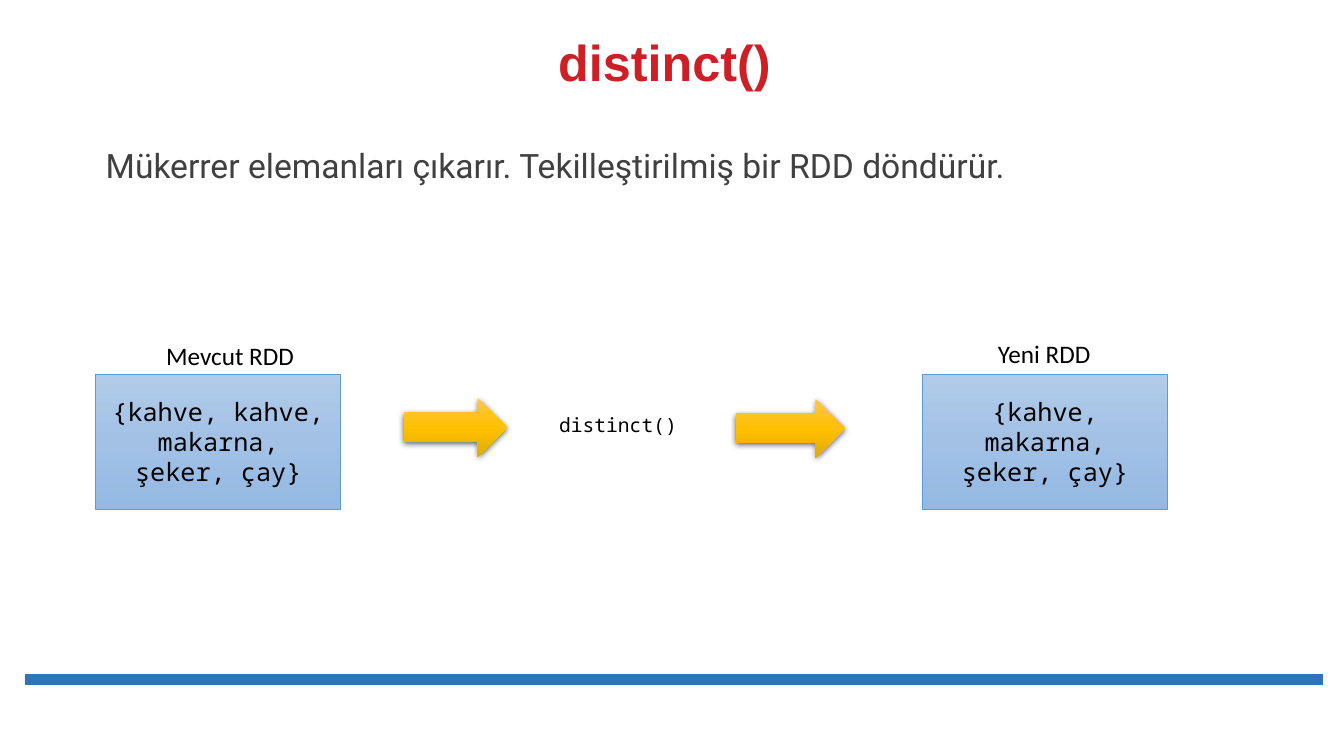
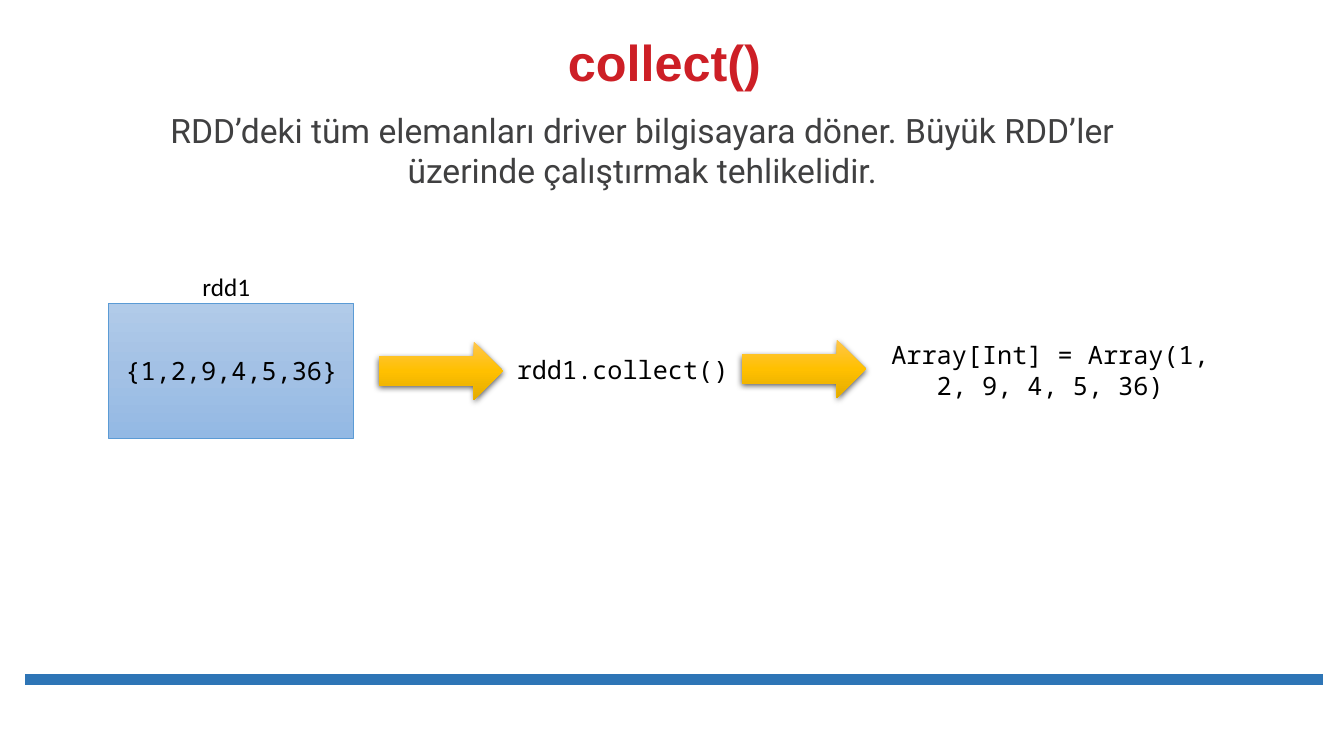
from copy import deepcopy

from lxml import etree
from pptx import Presentation
from pptx.dml.color import RGBColor
from pptx.enum.shapes import MSO_CONNECTOR, MSO_SHAPE
from pptx.enum.text import MSO_ANCHOR, PP_ALIGN
from pptx.oxml.ns import qn
from pptx.util import Inches, Pt

LEFT, CENTER = PP_ALIGN.LEFT, PP_ALIGN.CENTER
TOP, MIDDLE, BOTTOM = MSO_ANCHOR.TOP, MSO_ANCHOR.MIDDLE, MSO_ANCHOR.BOTTOM
RECTANGLE, RIGHT_ARROW = MSO_SHAPE.RECTANGLE, MSO_SHAPE.RIGHT_ARROW
STRAIGHT = MSO_CONNECTOR.STRAIGHT

RED = RGBColor(0xCD, 0x1F, 0x26)
GRAY = RGBColor(0x40, 0x40, 0x41)
BLACK = RGBColor(0, 0, 0)
RULE_BLUE = RGBColor(0x2E, 0x75, 0xB6)
OUTLINE_BLUE = RGBColor(0x5B, 0x9B, 0xD5)
BLUES = [RGBColor(0xB1, 0xCB, 0xE9), RGBColor(0xA3, 0xC1, 0xE5), RGBColor(0x93, 0xB9, 0xE4)]
GOLDS = [RGBColor(0xFF, 0xC6, 0x4B), RGBColor(0xFF, 0xC0, 0x00), RGBColor(0xE3, 0xAB, 0x00)]

TITLE_FONT = {"name": "Arial", "size": Pt(36), "bold": True}
SUMMARY_FONT = {"name": "Roboto", "size": Pt(24)}
LABEL_FONT = {"name": "Calibri", "size": Pt(18)}
CODE_FONT = {"name": "Noto Sans Mono", "size": Pt(18)}
SMALL_CODE_FONT = {"name": "Noto Sans Mono", "size": Pt(14)}

TITLE_AREA = (1.59, 0.23, 10, 0.74)
BOX_SIZE = (2.43, 1.34)
ARROW_HEIGHT = 0.58
LABEL_HEIGHT = 0.4
RULE_LEFT, RULE_RIGHT, RULE_Y = 0.25, 13.12, 6.74

# Boxes: text, left, top. Labels: text, left, top, width.
# Arrows: left, top, width. Code: text, area, font.
SLIDES = [
    {
        "title": "distinct()",
        "summary": ("Mükerrer elemanları çıkarır. Tekilleştirilmiş bir RDD döndürür.",
                    (0.95, 1.19, 10.84, 0.71), LEFT, 1.5),
        "boxes": [("{kahve, kahve, makarna, şeker, çay}", 0.95, 3.71),
                  ("{kahve, makarna, şeker, çay}", 9.15, 3.71)],
        "labels": [("Mevcut RDD", 1.55, 3.33, 1.48), ("Yeni RDD", 9.8, 3.31, 1.13)],
        "arrows": [(4.01, 3.95, 1.02), (7.3, 3.96, 1.08)],
        "code": [("distinct()", (4.59, 4.05, 3.08, 0.34), SMALL_CODE_FONT)],
    },
    {
        "title": "collect()",
        "summary": ("RDD’deki tüm elemanları driver bilgisayara döner. "
                    "Büyük RDD’ler üzerinde çalıştırmak tehlikelidir.",
                    (0.95, 1.04, 10.84, 0.91), CENTER, 1),
        "boxes": [("{1,2,9,4,5,36}", 1.08, 3.01)],
        "labels": [("rdd1", 1.91, 2.64, 0.68)],
        "arrows": [(3.76, 3.39, 1.23), (7.36, 3.37, 1.23)],
        "code": [("rdd1.collect()", (4.83, 3.47, 2.69, 0.4), CODE_FONT),
                 ("Array[Int] = Array(1, 2, 9, 4, 5, 36)", (8.7, 3.32, 3.43, 0.71), CODE_FONT)],
    },
]


def inches(values):
    """Turn numbers into lengths."""
    return [Inches(value) for value in values]


def write(shape, text, font, color=BLACK, align=CENTER, anchor=TOP, spacing=1, wrap=True):
    """Fill a shape with one formatted paragraph."""
    frame = shape.text_frame
    frame.word_wrap = wrap
    frame.vertical_anchor = anchor
    paragraph = frame.paragraphs[0]
    paragraph.alignment = align
    paragraph.line_spacing = spacing
    run = paragraph.add_run()
    run.text = text
    for attribute, value in font.items():
        setattr(run.font, attribute, value)
    run.font.color.rgb = color


def add_text(slide, text, area, font, **style):
    """Add a text box."""
    write(slide.shapes.add_textbox(*inches(area)), text, font, **style)


def add_gradient_shape(slide, preset, area, colors):
    """Add a preset shape shaded downwards through three colours."""
    shape = slide.shapes.add_shape(preset, *inches(area))
    shape.shadow.inherit = False
    shape.fill.gradient()
    shape.fill.gradient_angle = 270
    first = shape._element.spPr.find(".//" + qn("a:gs"))
    middle = deepcopy(first)
    middle.set("pos", "50000")
    first.addnext(middle)
    for stop, color in zip(shape.fill.gradient_stops, colors):
        stop.color.rgb = color
    return shape


def add_box(slide, text, left, top):
    """Add a blue data box."""
    box = add_gradient_shape(slide, RECTANGLE, (left, top, *BOX_SIZE), BLUES)
    box.line.color.rgb = OUTLINE_BLUE
    box.line.width = Pt(0.5)
    write(box, text, CODE_FONT, anchor=MIDDLE)


def add_arrow(slide, left, top, width):
    """Add a gold arrow with a soft shadow below."""
    arrow = add_gradient_shape(slide, RIGHT_ARROW, (left, top, width, ARROW_HEIGHT), GOLDS)
    arrow.line.fill.background()
    effects = arrow._element.spPr.find(qn("a:effectLst"))
    shadow = etree.SubElement(effects, qn("a:outerShdw"), blurRad=str(Pt(4.5)),
                              dist=str(Pt(1.5)), dir="5400000", algn="ctr", rotWithShape="0")
    color = etree.SubElement(shadow, qn("a:srgbClr"), val=str(BLACK))
    etree.SubElement(color, qn("a:alpha"), val="63000")


def add_rule(slide):
    """Add the thick blue line at the foot."""
    rule = slide.shapes.add_connector(
        STRAIGHT, *inches((RULE_LEFT, RULE_Y, RULE_RIGHT, RULE_Y)))
    rule.line.color.rgb = RULE_BLUE
    rule.line.width = Pt(8)
    etree.SubElement(rule._element.spPr, qn("a:effectLst"))


def add_title(slide, text):
    """Place and format the title."""
    title = slide.shapes.title
    title.left, title.top, title.width, title.height = inches(TITLE_AREA)
    write(title, text, TITLE_FONT, color=RED, anchor=BOTTOM, spacing=0.9)


def build_slide(deck, content):
    """Build one slide about an RDD function."""
    slide = deck.slides.add_slide(deck.slide_layouts.get_by_name("Title Only"))
    add_rule(slide)
    add_title(slide, content["title"])
    summary, area, align, spacing = content["summary"]
    add_text(slide, summary, area, SUMMARY_FONT, color=GRAY, align=align, spacing=spacing)
    for arrow in content["arrows"]:
        add_arrow(slide, *arrow)
    for box in content["boxes"]:
        add_box(slide, *box)
    for label, left, top, width in content["labels"]:
        add_text(slide, label, (left, top, width, LABEL_HEIGHT), LABEL_FONT,
                 align=LEFT, wrap=False)
    for code, area, font in content["code"]:
        add_text(slide, code, area, font)


deck = Presentation()
deck.slide_width, deck.slide_height = inches((13.33, 7.5))
for content in SLIDES:
    build_slide(deck, content)
deck.save("out.pptx")
